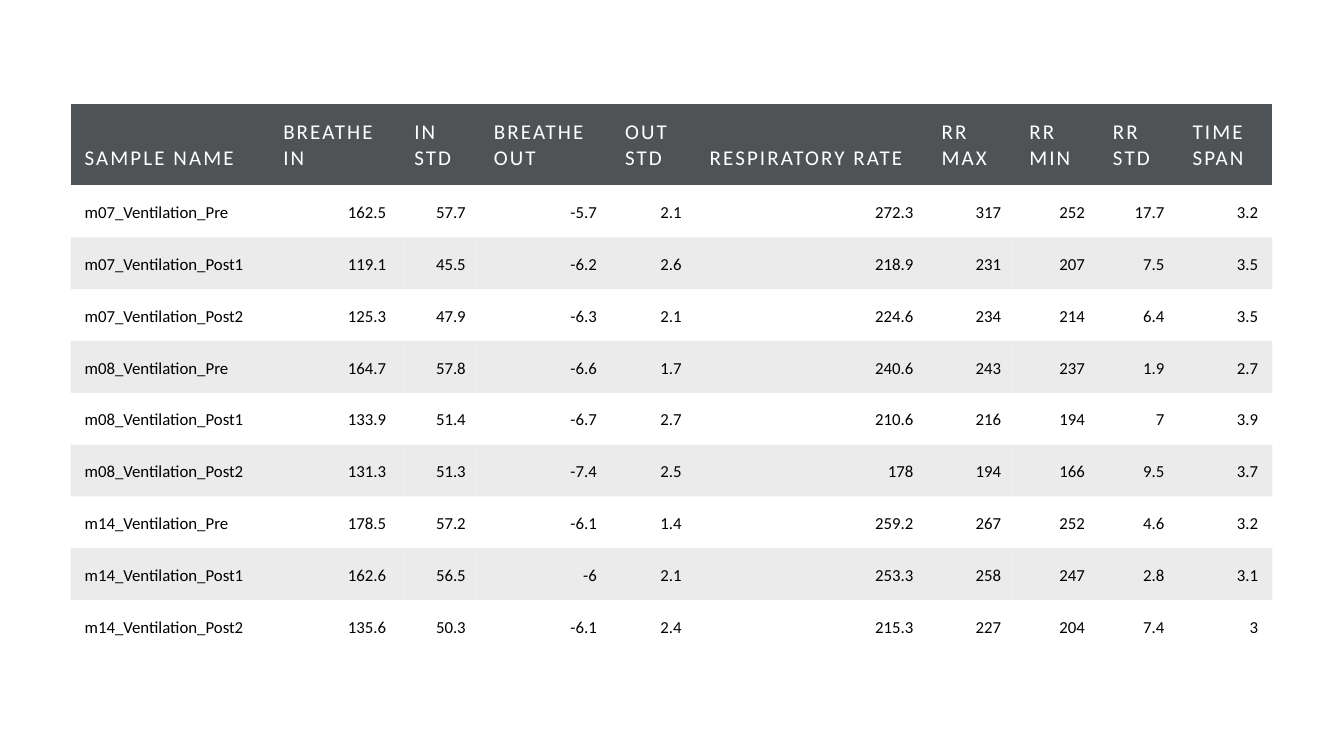
from lxml.etree import SubElement
from pptx import Presentation
from pptx.dml.color import RGBColor
from pptx.enum.text import MSO_ANCHOR, PP_ALIGN
from pptx.oxml.ns import qn
from pptx.util import Inches, Pt

# Content
HEADERS = ["SAMPLE NAME", "BREATHE IN", "IN STD", "BREATHE OUT", "OUT STD",
           "RESPIRATORY RATE", "RR MAX", "RR MIN", "RR STD", "TIME SPAN"]
SAMPLES = [
    ("m07_Ventilation_Pre", 162.5, 57.7, -5.7, 2.1, 272.3, 317, 252, 17.7, 3.2),
    ("m07_Ventilation_Post1", 119.1, 45.5, -6.2, 2.6, 218.9, 231, 207, 7.5, 3.5),
    ("m07_Ventilation_Post2", 125.3, 47.9, -6.3, 2.1, 224.6, 234, 214, 6.4, 3.5),
    ("m08_Ventilation_Pre", 164.7, 57.8, -6.6, 1.7, 240.6, 243, 237, 1.9, 2.7),
    ("m08_Ventilation_Post1", 133.9, 51.4, -6.7, 2.7, 210.6, 216, 194, 7, 3.9),
    ("m08_Ventilation_Post2", 131.3, 51.3, -7.4, 2.5, 178, 194, 166, 9.5, 3.7),
    ("m14_Ventilation_Pre", 178.5, 57.2, -6.1, 1.4, 259.2, 267, 252, 4.6, 3.2),
    ("m14_Ventilation_Post1", 162.6, 56.5, -6, 2.1, 253.3, 258, 247, 2.8, 3.1),
    ("m14_Ventilation_Post2", 135.6, 50.3, -6.1, 2.4, 215.3, 227, 204, 7.4, 3),
]

# Format
COLORS = {"header": "505356", "header_text": "FFFFFF", "band": "000000", "text": "000000"}
BAND_OPACITY = 8
LEFT, TOP, WIDTH, HEIGHT = 0.7, 1.03, 11.93, 5.44
COLUMN_WIDTHS = [1.97, 1.3, 0.79, 1.3, 0.84, 2.3, 0.87, 0.83, 0.79, 0.93]
HEADER_HEIGHT = 0.81
NO_STYLE = "{2D5ABB26-0587-4C30-8999-92F81FD0307C}"
CELL_FORMAT = {
    "vertical_anchor": MSO_ANCHOR.BOTTOM,
    "margin_left": Inches(0.14), "margin_right": Inches(0.14),
    "margin_top": Inches(0.14), "margin_bottom": Inches(0.14),
}
HEADER_FONT = {"name": "Calibri", "size": Pt(15), "bold": False}
BODY_FONT = {"name": "Calibri", "size": Pt(12), "bold": False}


def set_attributes(target, values):
    for name, value in values.items():
        setattr(target, name, value)


def fill_cell(cell, color, opacity=100):
    cell.fill.solid()
    cell.fill.fore_color.rgb = RGBColor.from_string(color)
    if opacity < 100:
        color_element = cell._tc.find(f".//{qn('a:tcPr')}/{qn('a:solidFill')}/{qn('a:srgbClr')}")
        SubElement(color_element, qn("a:alpha")).set("val", str(opacity * 1000))


def write_cell(cell, value, row, column):
    is_header = row == 0
    set_attributes(cell, CELL_FORMAT)
    paragraph = cell.text_frame.paragraphs[0]
    paragraph.alignment = PP_ALIGN.LEFT if is_header or column == 0 else PP_ALIGN.RIGHT
    run = paragraph.add_run()
    run.text = str(value)
    set_attributes(run.font, HEADER_FONT if is_header else BODY_FONT)
    run.font.color.rgb = RGBColor.from_string(COLORS["header_text" if is_header else "text"])
    if is_header:
        run.font._element.set("spc", "150")
        fill_cell(cell, COLORS["header"])
    elif row % 2 == 0:
        fill_cell(cell, COLORS["band"], BAND_OPACITY)
    else:
        cell.fill.background()


def main():
    presentation = Presentation()
    presentation.slide_width = Inches(13.33)
    presentation.slide_height = Inches(7.5)
    slide = presentation.slides.add_slide(presentation.slide_layouts[6])

    # Table frame
    rows = [HEADERS, *SAMPLES]
    frame = slide.shapes.add_table(len(rows), len(HEADERS), Inches(LEFT), Inches(TOP),
                                   Inches(WIDTH), Inches(HEIGHT))
    table = frame.table
    table.horz_banding = False
    frame._element.find(f".//{qn('a:tableStyleId')}").text = NO_STYLE

    # Column widths and row heights
    for column, width in zip(table.columns, COLUMN_WIDTHS):
        column.width = Inches(width)
    body_height = (HEIGHT - HEADER_HEIGHT) / len(SAMPLES)
    for index, table_row in enumerate(table.rows):
        table_row.height = Inches(body_height if index else HEADER_HEIGHT)

    # Cells
    for row, values in enumerate(rows):
        for column, value in enumerate(values):
            write_cell(table.cell(row, column), value, row, column)

    presentation.save("out.pptx")


if __name__ == "__main__":
    main()
